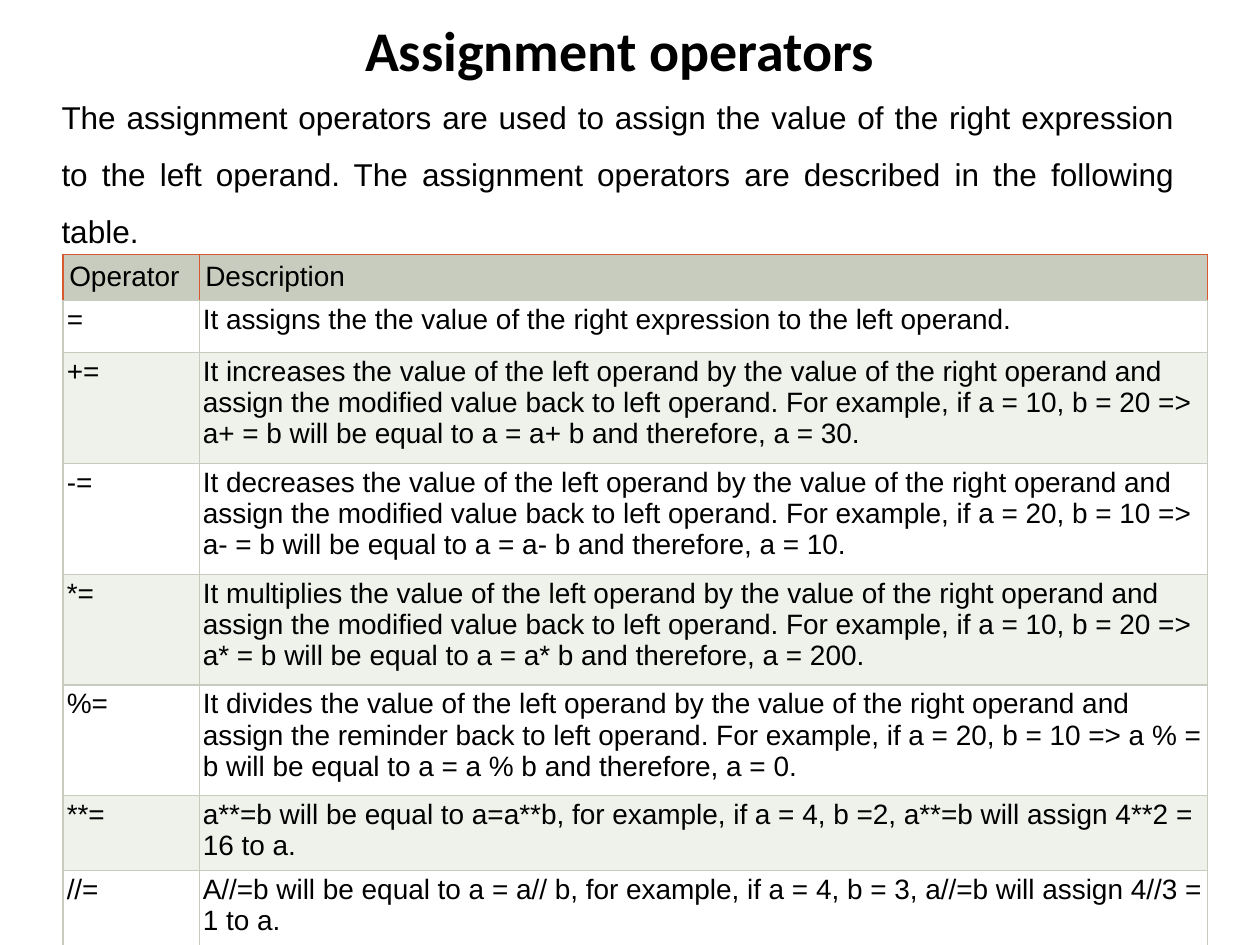
"""Build a slide that describes the Python assignment operators in a table."""
from dataclasses import dataclass

from lxml.etree import SubElement
from pptx import Presentation
from pptx.dml.color import RGBColor as RGB
from pptx.enum.text import MSO_ANCHOR as Anchor, MSO_AUTO_SIZE as AutoSize, PP_ALIGN as Align
from pptx.oxml.ns import qn
from pptx.util import Inches, Pt

TITLE = "Assignment operators"
INTRO = (
    "The assignment operators are used to assign the value of the right expression to the left "
    "operand. The assignment operators are described in the following table."
)
HEADER = ("Operator", "Description")
MODIFIED = (
    "of the left operand by the value of the right operand and "
    "assign the modified value back to left operand. For example, if"
)
OPERATORS = [
    ("=", "It assigns the the value of the right expression to the left operand.", 0.41),
    ("+=", f"It increases the value {MODIFIED} a = 10, b = 20 => a+ = b will be equal to "
     "a = a+ b and therefore, a = 30.", 0.88),
    ("-=", f"It decreases the value {MODIFIED} a = 20, b = 10 => a- = b will be equal to "
     "a = a- b and therefore, a = 10.", 0.88),
    ("*=", f"It multiplies the value {MODIFIED} a = 10, b = 20 => a* = b will be equal to "
     "a = a* b and therefore, a = 200.", 0.88),
    ("%=", "It divides the value of the left operand by the value of the right operand and "
     "assign the reminder back to left operand. For example, if a = 20, b = 10 => a % = b will "
     "be equal to a = a % b and therefore, a = 0.", 0.88),
    ("**=", "a**=b will be equal to a=a**b, for example, if a = 4, b =2, a**=b will assign "
     "4**2 = 16 to a.", 0.41),
    ("//=", "A//=b will be equal to a = a// b, for example, if a = 4, b = 3, a//=b will assign "
     "4//3 = 1 to a.", 0.41),
]
HEADER_HEIGHT = 0.21
COLUMN_WIDTHS = (1.08, 8)


@dataclass(frozen=True)
class Theme:
    ink: str = "000000"
    rule: str = "C7CCBE"
    accent: str = "D85830"
    bands: tuple = ("FFFFFF", "EFF1EB")
    heading_font: str = "Calibri"
    body_font: str = "Arial"
    title_size: int = 32
    intro_size: int = 18
    table_size: int = 16
    rule_width: float = 0.75


THEME = Theme()


def style(paragraph, family, size, bold=False):
    font = paragraph.font
    font.name, font.size, font.bold = family, Pt(size), bold
    font.color.rgb = RGB.from_string(THEME.ink)


def draw_borders(cell, colours):
    properties = cell._tc.get_or_add_tcPr()
    for side, colour in zip("LRTB", colours):
        line = SubElement(properties, qn(f"a:ln{side}"), w=str(Pt(THEME.rule_width)))
        SubElement(SubElement(line, qn("a:solidFill")), qn("a:srgbClr"), val=colour)


def fill_cell(cell, text, fill, inset, borders):
    cell.margin_left = cell.margin_right = cell.margin_top = cell.margin_bottom = Inches(inset)
    cell.text = text
    style(cell.text_frame.paragraphs[0], THEME.body_font, THEME.table_size)
    draw_borders(cell, borders)
    cell.fill.solid()
    cell.fill.fore_color.rgb = RGB.from_string(fill)


def add_title(slide):
    title = slide.shapes.title
    title.left, title.top, title.width, title.height = map(Inches, (0.42, 0, 9, 0.78))
    title.text_frame.text = TITLE
    title.text_frame.vertical_anchor = Anchor.MIDDLE
    heading = title.text_frame.paragraphs[0]
    heading.alignment = Align.CENTER
    style(heading, THEME.heading_font, THEME.title_size, bold=True)


def add_intro(slide):
    frame = slide.shapes.add_textbox(*map(Inches, (0.39, 0.58, 9.03, 1.41))).text_frame
    frame.word_wrap = True
    frame.auto_size = AutoSize.SHAPE_TO_FIT_TEXT
    frame.text = INTRO
    intro = frame.paragraphs[0]
    intro.alignment, intro.line_spacing = Align.JUSTIFY, 1.5
    style(intro, THEME.body_font, THEME.intro_size)


def add_operator_table(slide):
    heights = [HEADER_HEIGHT] + [height for _, _, height in OPERATORS]
    area = map(Inches, (0.5, 2.02, sum(COLUMN_WIDTHS), sum(heights)))
    table = slide.shapes.add_table(len(heights), len(COLUMN_WIDTHS), *area).table
    for column, width in zip(table.columns, COLUMN_WIDTHS):
        column.width = Inches(width)
    for row, height in zip(table.rows, heights):
        row.height = Inches(height)
    for col, label in enumerate(HEADER):
        fill_cell(table.cell(0, col), label, THEME.rule, 0.05, [THEME.accent] * 3 + [THEME.rule])
    for row, (operator, description, _) in enumerate(OPERATORS, 1):
        band = THEME.bands[(row - 1) % 2]
        for col, text in enumerate((operator, description)):
            fill_cell(table.cell(row, col), text, band, 0.03, [THEME.rule] * 4)


def main():
    deck = Presentation()
    deck.slide_width, deck.slide_height = Inches(10), Inches(7.5)
    slide = deck.slides.add_slide(deck.slide_layouts.get_by_name("Title Only"))
    add_title(slide)
    add_intro(slide)
    add_operator_table(slide)
    deck.save("out.pptx")


if __name__ == "__main__":
    main()
